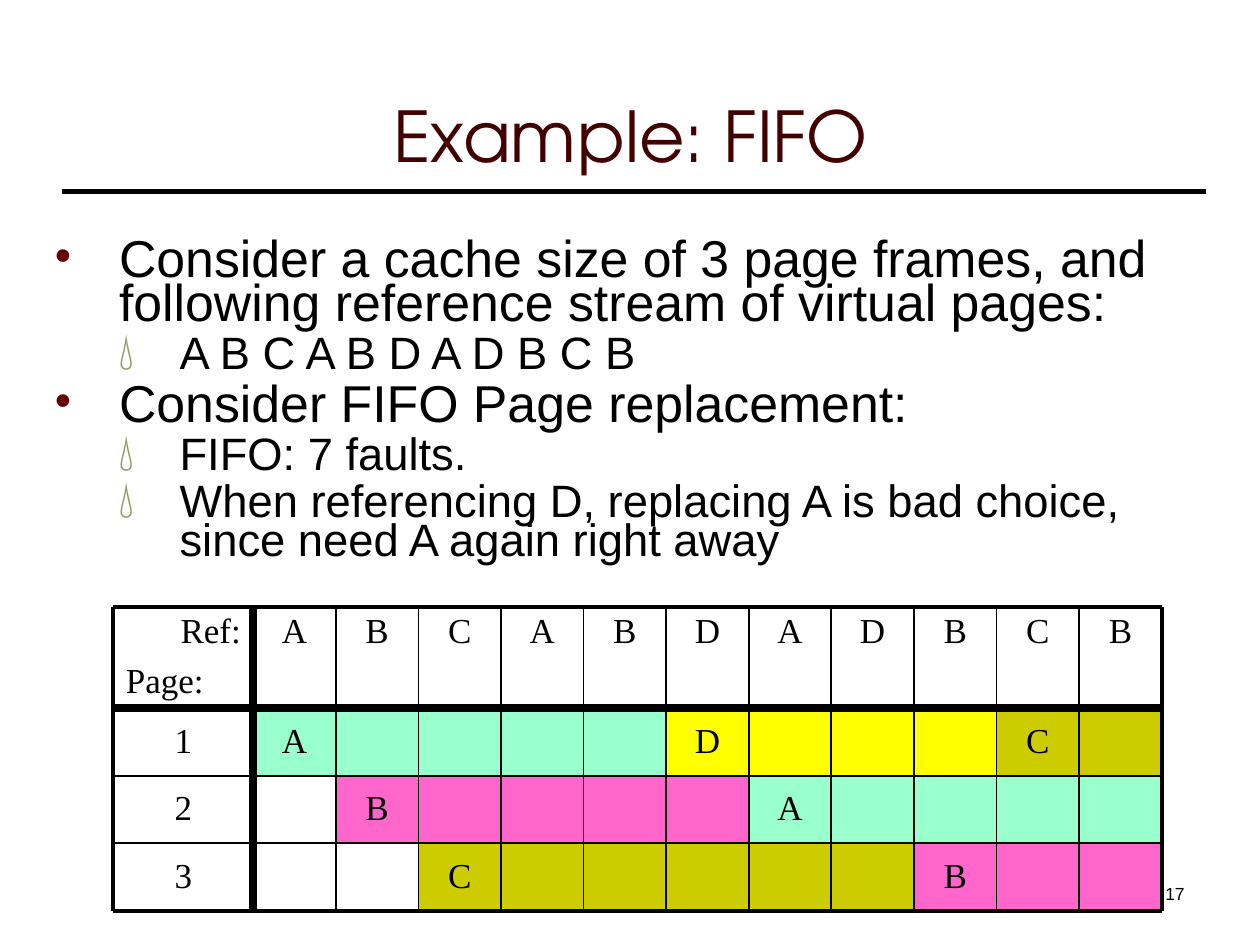
from itertools import accumulate

from lxml import etree
from pptx import Presentation
from pptx import util as u
from pptx.dml.color import RGBColor
from pptx.enum import shapes, text
from pptx.oxml.ns import qn

ALIGN = text.PP_ALIGN
ANCHOR = text.MSO_ANCHOR
BULLETS = [
    dict(char="•", color="660000", percent=90, margin=0.51, indent=-0.51, size=29.6),
    dict(char="💧", color="999966", percent=85, margin=0.99, indent=-0.48, size=25.9),
]
POINTS = [
    (0, "Consider a cache size of 3 page frames, and following reference stream of virtual pages:"),
    (1, "A B C A B D A D B C B"),
    (0, "Consider FIFO Page replacement:"),
    (1, "FIFO: 7 faults."),
    (1, "When referencing D, replacing A is bad choice, since need A again right away"),
]
STREAM = "ABCABDADBCB"
FRAMES = ["AAAAADDDDCC", " BBBBBAAAAA", "  CCCCCCBBB"]
PAGE_COLORS = {"A": "99FFCC", "B": "FF66CC", "C": "CCCC00", "D": "FFFF00"}


def rgb(value):
    """Turn a hex string into a colour."""
    return RGBColor.from_string(value)


def add_element(parent, tag, **attributes):
    """Append a drawing element with the given attributes."""
    element = etree.SubElement(parent, qn(tag))
    for name, value in attributes.items():
        element.set(name, str(value))
    return element


def write(para, words, font="Arial", size=20, color="000000", align=ALIGN.LEFT,
          spacing=None, before=None):
    """Put formatted text into a paragraph."""
    para.alignment = align
    if spacing:
        para.line_spacing = spacing
    if before:
        para.space_before = u.Pt(before)
    span = para.add_run()
    span.text = words
    span.font.name, span.font.size = font, u.Pt(size)
    span.font.color.rgb = rgb(color)


def add_bullet(para, char, color, percent, margin, indent):
    """Give a paragraph a coloured bullet and a hanging indent."""
    properties = para._p.get_or_add_pPr()
    properties.set("marL", str(u.Inches(margin)))
    properties.set("indent", str(u.Inches(indent)))
    add_element(add_element(properties, "a:buClr"), "a:srgbClr", val=color)
    add_element(properties, "a:buSzPct", val=percent * 1000)
    add_element(properties, "a:buFont", typeface="Arial")
    add_element(properties, "a:buChar", char=char)


def edge_weight(index, last):
    """Return the weight of a grid rule: outer, heading or inner."""
    if index in (0, last):
        return 2.25
    return 4.5 if index == 1 else 1


class Slide:
    """Hold the style and the current page, on a grid of 100 columns by 75 rows."""

    ink = "000000"
    entry = dict(font="Times New Roman", spacing=0.9)

    def __init__(self, deck):
        """Add a page with a title and a body."""
        self.page = deck.slides.add_slide(deck.slide_layouts[1])
        self.canvas = self.page.shapes
        self.column = deck.slide_width / 100
        self.row = deck.slide_height / 75

    def area(self, left, top, width, height):
        """Convert grid columns and rows to lengths."""
        return [round(value * unit) for value, unit in
                zip((left, top, width, height), (self.column, self.row) * 2)]

    def place(self, box, *area):
        """Move a shape to an area of the grid."""
        box.left, box.top, box.width, box.height = self.area(*area)

    def title(self, words, *area):
        """Fill the title placeholder."""
        box = self.page.shapes.title
        self.place(box, *area)
        box.text_frame.vertical_anchor = ANCHOR.BOTTOM
        write(box.text_frame.paragraphs[0], words, font="TeX Gyre Adventor",
              size=40, color="420000", align=ALIGN.CENTER)

    def body(self, points, *area):
        """Fill the body placeholder with a two-level list."""
        box = self.page.placeholders[1]
        self.place(box, *area)
        frame = box.text_frame
        frame.auto_size = text.MSO_AUTO_SIZE.NONE
        for index, (level, words) in enumerate(points):
            para = frame.add_paragraph() if index else frame.paragraphs[0]
            para.level = level
            style = dict(BULLETS[level])
            size = style.pop("size")
            para.space_before = u.Pt(0)
            add_bullet(para, **style)
            write(para, words, size=size, spacing=0.7, before=index and 0.2 * size)

    def rule(self, left, top, width, height, weight):
        """Draw a straight rule across an area."""
        x, y, run, rise = self.area(left, top, width, height)
        line = self.canvas.add_connector(shapes.MSO_CONNECTOR.STRAIGHT, x, y, x + run, y + rise)
        line.line.color.rgb, line.line.width = rgb(self.ink), u.Pt(weight)
        add_element(line._element.spPr, "a:effectLst")

    def label(self, words, *area, anchor=ANCHOR.TOP, **style):
        """Add a text box and return its frame."""
        frame = self.canvas.add_textbox(*self.area(*area)).text_frame
        frame.word_wrap, frame.vertical_anchor = True, anchor
        write(frame.paragraphs[0], words, **style)
        return frame

    def tile(self, words, fill, *area):
        """Add a filled rectangle, with centred text if there is any."""
        box = self.canvas.add_shape(shapes.MSO_SHAPE.RECTANGLE, *self.area(*area))
        box.shadow.inherit = False
        box.fill.solid()
        box.fill.fore_color.rgb = rgb(fill)
        box.line.fill.background()
        if words:
            box.text_frame.vertical_anchor = ANCHOR.MIDDLE
            write(box.text_frame.paragraphs[0], words, align=ALIGN.CENTER, **self.entry)

    def frame_grid(self, stream, frames, area, heading_width, heading_height):
        """Show which page each frame holds after each reference."""
        left, top, width, height = area
        step = (width - heading_width) / len(stream)
        depth = (height - heading_height) / len(frames)
        widths = [heading_width] + [step] * len(stream)
        heights = [heading_height] + [depth] * len(frames)
        xs = list(accumulate(widths, initial=left))
        ys = list(accumulate(heights, initial=top))
        self.canvas = self.page.shapes.add_group_shape().shapes
        for y, pages in enumerate(frames, 1):
            for x, page in enumerate(pages, 1):
                if page in PAGE_COLORS:
                    loaded = x == 1 or page != pages[x - 2]
                    self.tile(page if loaded else "", PAGE_COLORS[page], xs[x], ys[y], step, depth)
        for x, page in enumerate(stream, 1):
            self.label(page, xs[x], top, step, heading_height, align=ALIGN.CENTER, **self.entry)
        for y in range(1, len(ys) - 1):
            self.label(str(y), left, ys[y], heading_width, depth, anchor=ANCHOR.MIDDLE,
                       align=ALIGN.CENTER, **self.entry)
        corner = self.label("Ref:", left, top, heading_width, heading_height,
                            align=ALIGN.RIGHT, **self.entry)
        write(corner.add_paragraph(), "Page:", before=7, **self.entry)
        for index, y in enumerate(ys):
            self.rule(left, y, width, 0, edge_weight(index, len(ys) - 1))
        for index, x in enumerate(xs):
            self.rule(x, top, 0, height, edge_weight(index, len(xs) - 1))
        self.canvas = self.page.shapes


def main():
    """Build the deck and save it."""
    deck = Presentation()
    deck.slide_width, deck.slide_height = u.Inches(10), u.Inches(7.5)
    slide = Slide(deck)
    slide.rule(4.9, 15.2, 90.8, 0, 3)
    slide.body(POINTS, 3.35, 18.8, 93.4, 29.5)
    slide.title("Example: FIFO", 5, 4.4, 90.1, 10.1)
    slide.frame_grid(STREAM, FRAMES, (9, 48.2, 83.2, 24.1), 11.1, 8)
    slide.label("17", 74.2, 69.6, 20.8, 5, size=10, align=ALIGN.RIGHT)
    deck.save("out.pptx")


if __name__ == "__main__":
    main()
